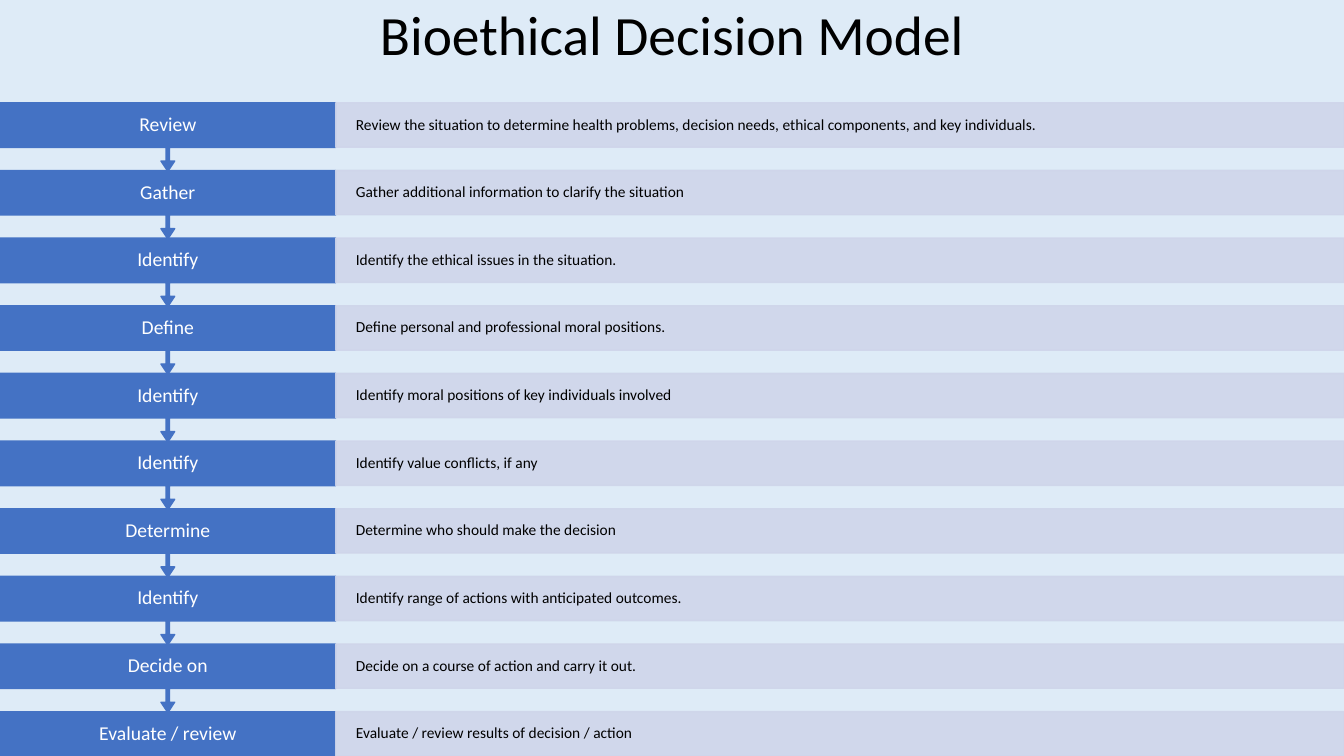
import pptx
import pptx.util
import pptx.dml.color
import pptx.enum.shapes
import pptx.enum.text
import pptx.oxml
import pptx.oxml.ns

Inches = pptx.util.Inches
Pt = pptx.util.Pt
RGBColor = pptx.dml.color.RGBColor
SHAPE = pptx.enum.shapes.MSO_SHAPE
ALIGN = pptx.enum.text.PP_ALIGN
ANCHOR = pptx.enum.text.MSO_ANCHOR

BACKGROUND = RGBColor(0xDE, 0xEB, 0xF7)
STEP_BLUE = RGBColor(0x44, 0x72, 0xC4)
DETAIL_LAVENDER = RGBColor(0xCF, 0xD5, 0xEA)
BLACK = RGBColor(0, 0, 0)
WHITE = RGBColor(255, 255, 255)

SLIDE_WIDTH, SLIDE_HEIGHT = 13.33, 7.5
ROW_HEIGHT = 0.44
CALLOUT_HEIGHT = 0.68
LABEL_WIDTH = 3.33
CALLOUT_ADJUSTMENTS = (0.05, 0.1, 0.15, 0.65)
DETAIL_OPACITY = 90

STEPS = [
    ("Review", "Review the situation to determine health problems, decision needs, "
               "ethical components, and key individuals."),
    ("Gather", "Gather additional information to clarify the situation"),
    ("Identify", "Identify the ethical issues in the situation."),
    ("Define", "Define personal and professional moral positions."),
    ("Identify", "Identify moral positions of key individuals involved"),
    ("Identify", "Identify value conflicts, if any"),
    ("Determine", "Determine who should make the decision"),
    ("Identify", "Identify range of actions with anticipated outcomes."),
    ("Decide on", "Decide on a course of action and carry it out."),
    ("Evaluate / review", "Evaluate / review results of decision / action"),
]


def write_text(shape, text, size, color, alignment, inset_x, inset_y):
    frame = shape.text_frame
    frame.word_wrap = True
    frame.vertical_anchor = ANCHOR.MIDDLE
    frame.margin_left = frame.margin_right = Inches(inset_x)
    frame.margin_top = frame.margin_bottom = Inches(inset_y)
    paragraph = frame.paragraphs[0]
    paragraph.text = text
    paragraph.alignment = alignment
    paragraph.line_spacing = 0.9
    paragraph.font.name = "Calibri"
    paragraph.font.size = Pt(size)
    paragraph.font.color.rgb = color


def add_block(slide, kind, left, top, width, height, color):
    shape = slide.shapes.add_shape(
        kind, Inches(left), Inches(top), Inches(width), Inches(height))
    shape.shadow.inherit = False
    shape.fill.solid()
    shape.fill.fore_color.rgb = color
    shape.line.color.rgb = color
    shape.line.width = Pt(1)
    return shape


def set_opacity(shape, percent):
    for color in shape._element.spPr.iter(pptx.oxml.ns.qn("a:srgbClr")):
        color.append(pptx.oxml.parse_xml(
            f'<a:alpha {pptx.oxml.ns.nsdecls("a")} val="{percent * 1000}"/>'))


def add_title(slide, left, top, width, height):
    title = slide.shapes.add_textbox(
        Inches(left), Inches(top), Inches(width), Inches(height))
    write_text(title, "Bioethical Decision Model", 39.6, BLACK, ALIGN.CENTER, 0.1, 0.05)


def add_step(slide, left, top, width, label, detail, is_last):
    if is_last:
        step = add_block(slide, SHAPE.RECTANGLE, left, top,
                         LABEL_WIDTH, ROW_HEIGHT, STEP_BLUE)
    else:
        step = add_block(slide, SHAPE.DOWN_ARROW_CALLOUT, left, top,
                         LABEL_WIDTH, CALLOUT_HEIGHT, STEP_BLUE)
        for index, value in enumerate(CALLOUT_ADJUSTMENTS):
            step.adjustments[index] = value
    write_text(step, label, 14, WHITE, ALIGN.CENTER, 0.24, 0.11)

    bar = add_block(slide, SHAPE.RECTANGLE, left + LABEL_WIDTH, top,
                    width - LABEL_WIDTH, ROW_HEIGHT, DETAIL_LAVENDER)
    set_opacity(bar, DETAIL_OPACITY)
    write_text(bar, detail, 11, BLACK, ALIGN.LEFT, 0.2, 0.15)


def add_process(slide, left, top, width, height):
    last = len(STEPS) - 1
    pitch = (height - ROW_HEIGHT) / last
    for index, (label, detail) in enumerate(STEPS):
        add_step(slide, left, top + index * pitch, width, label, detail, index == last)


def main():
    presentation = pptx.Presentation()
    presentation.slide_width = Inches(SLIDE_WIDTH)
    presentation.slide_height = Inches(SLIDE_HEIGHT)
    slide = presentation.slides.add_slide(presentation.slide_layouts[6])
    slide.background.fill.solid()
    slide.background.fill.fore_color.rgb = BACKGROUND
    add_title(slide, 0, 0, SLIDE_WIDTH, 0.74)
    add_process(slide, 0, 1.02, SLIDE_WIDTH, SLIDE_HEIGHT - 1.02)
    presentation.save("out.pptx")


if __name__ == "__main__":
    main()
